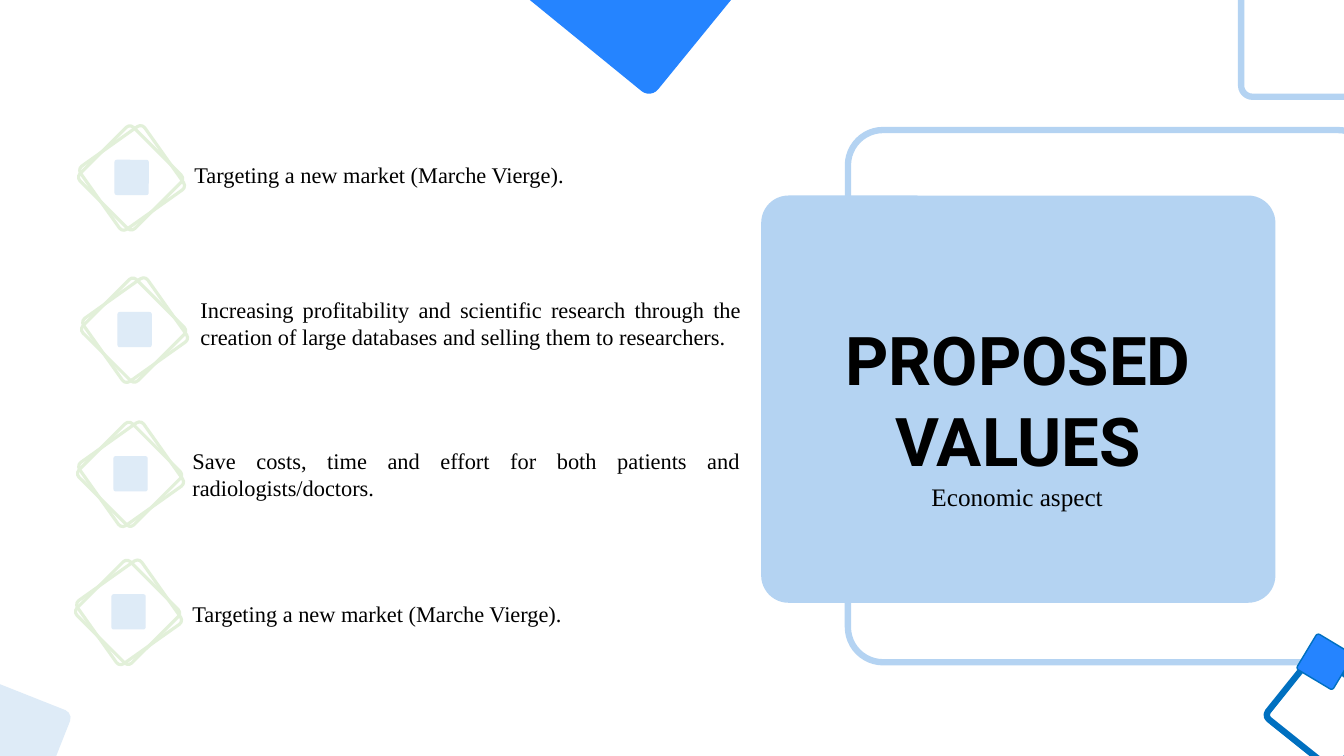
from pptx import Presentation
from pptx.dml.color import RGBColor
from pptx.enum.shapes import MSO_SHAPE
from pptx.enum.text import MSO_ANCHOR, MSO_AUTO_SIZE, PP_ALIGN
from pptx.util import Inches, Pt

ROUND = MSO_SHAPE.ROUNDED_RECTANGLE
MIDDLE = MSO_ANCHOR.MIDDLE
GROW = MSO_AUTO_SIZE.SHAPE_TO_FIT_TEXT
LEFT, CENTER, JUSTIFY = PP_ALIGN.LEFT, PP_ALIGN.CENTER, PP_ALIGN.JUSTIFY
SERIF = "Times New Roman"
COLORS = {
    "sky": "B4D3F2", "pale": "DEEBF7", "blue": "2584FF",
    "navy": "0070C0", "green": "E2F0D9", "black": "000000",
}

prs = Presentation()
prs.slide_width, prs.slide_height = Inches(13.33), Inches(7.5)
slide = prs.slides.add_slide(prs.slide_layouts[6])


def add_tile(shapes, box, turn=0, fill=None, line=None, width=0):
    tile = shapes.add_shape(ROUND, *map(Inches, box))
    tile.adjustments[0] = 0.067
    tile.rotation = turn
    tile.shadow.inherit = False
    for part, color in ((tile.fill, fill), (tile.line.fill, line)):
        if color:
            part.solid()
            part.fore_color.rgb = RGBColor.from_string(COLORS[color])
        else:
            part.background()
    if line:
        tile.line.width = Pt(width)
    return tile


def write(shape, text, align, wrap=True, **style):
    frame = shape.text_frame
    frame.word_wrap = wrap
    para = frame.paragraphs[0]
    para.alignment = align
    run = para.add_run()
    run.text = text
    run.font.color.rgb = RGBColor.from_string(COLORS["black"])
    for key, value in style.items():
        setattr(run.font, key, value)
    return frame


# Title card over its outline
add_tile(slide.shapes, (8.41, 1.29, 5.21, 5.28), line="sky", width=4.5)
card = add_tile(slide.shapes, (7.55, 1.94, 5.1, 4.04), fill="sky")
title = write(card, "PROPOSED VALUES", CENTER,
              name="Roboto", size=Pt(48), bold=True)
title.vertical_anchor = MIDDLE

# Corner and edge tiles
decor = [
    ((-0.72, 6.8, 1.26, 1.25), 21.6, "pale", None, 0),
    ((12.7, 6.65, 0.89, 0.82), 38.7, None, "navy", 4.5),
    ((12.93, 6.36, 0.42, 0.41), 31, "blue", "navy", 1),
    ((12.31, -0.75, 1.67, 1.71), 0, None, "sky", 4.5),
    ((5.45, -1.12, 1.75, 1.74), 39.2, "blue", None, 0),
]
for tile in decor:
    add_tile(slide.shapes, *tile)

# Values: icon left and top, text box, wording
values = [
    (0.92, 1.38, (1.83, 1.55, 5.62, 0.37),
     "Targeting a new market (Marche Vierge)."),
    (0.95, 2.89, (1.89, 2.89, 5.56, 0.64),
     "Increasing profitability and scientific research through the "
     "creation of large databases and selling them to researchers."),
    (0.91, 4.32, (1.81, 4.39, 5.63, 0.64),
     "Save costs, time and effort for both patients and "
     "radiologists/doctors."),
    (0.89, 5.69, (1.81, 5.9, 5.63, 0.37),
     "Targeting a new market (Marche Vierge)."),
]
for left, top, box, text in values:
    icon = slide.shapes.add_group_shape()
    for width, turn in ((0.78, 144.7), (0.75, 135)):
        add_tile(icon.shapes, (left, top, width, 0.77), turn,
                 line="green", width=2.25)
    add_tile(slide.shapes, (left + 0.21, top + 0.21, 0.35, 0.34), 90, "pale")
    label = slide.shapes.add_textbox(*map(Inches, box))
    frame = write(label, text, JUSTIFY, name=SERIF, size=Pt(16))
    frame.auto_size = GROW

# Subtitle on the card
note = slide.shapes.add_textbox(*map(Inches, (9.14, 4.73, 1.92, 0.4)))
frame = write(note, "Economic aspect", LEFT, wrap=False,
              name=SERIF, size=Pt(18))
frame.auto_size = GROW

prs.save("out.pptx")
